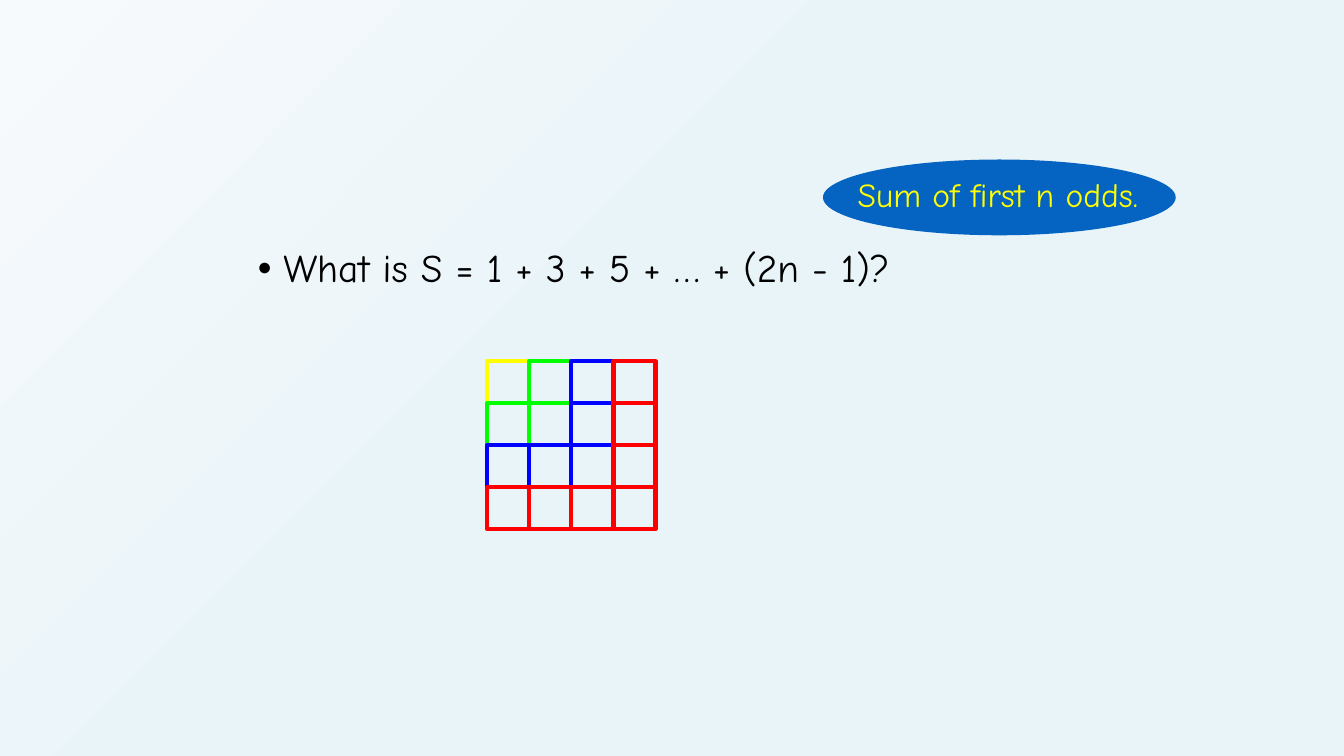
from lxml import etree
from pptx import Presentation
from pptx import util as u
from pptx.dml.color import RGBColor
from pptx.enum import shapes, text
from pptx.oxml.ns import qn

FONT = "Comic Neue"
BLACK = RGBColor(0x00, 0x00, 0x00)
YELLOW = RGBColor(0xFF, 0xFF, 0x00)
GREEN = RGBColor(0x00, 0xFF, 0x00)
BLUE = RGBColor(0x00, 0x00, 0xFF)
RED = RGBColor(0xFF, 0x00, 0x00)
OVAL_BLUE = RGBColor(0x05, 0x63, 0xC1)
SKY_LIGHT = RGBColor(0xF7, 0xFA, 0xFD)
SKY = RGBColor(0xE9, 0xF4, 0xF9)

LAYER_COLORS = [YELLOW, GREEN, BLUE, RED]
GRID_LEFT, GRID_TOP, CELL = 12.28, 9.1, 1.06


class SlideBuilder:
    def __init__(self, slide, font=FONT):
        self.slide = slide
        self.font = font

    def background(self, start, end, end_position):
        fill = self.slide.background.fill
        fill.gradient()
        fill.gradient_angle = 315
        first, last = fill.gradient_stops
        first.color.rgb, first.position = start, 0
        last.color.rgb, last.position = end, end_position

    def group(self):
        return self.slide.shapes.add_group_shape()

    def shape(self, parent, kind, left, top, width, height, fill=None, line=None):
        shape = parent.shapes.add_shape(
            kind, u.Cm(left), u.Cm(top), u.Cm(width), u.Cm(height))
        shape.shadow.inherit = False
        if fill is None:
            shape.fill.background()
        else:
            shape.fill.solid()
            shape.fill.fore_color.rgb = fill
        if line is None:
            shape.line.fill.background()
        else:
            shape.line.color.rgb = line
            shape.line.width = u.Pt(3)
        return shape

    def text(self, parent, content, left, top, width, height, *, size, color,
             align=text.PP_ALIGN.LEFT, spacing=1.0, bullet=None):
        box = parent.shapes.add_textbox(
            u.Cm(left), u.Cm(top), u.Cm(width), u.Cm(height))
        box.text_frame.word_wrap = True
        paragraph = box.text_frame.paragraphs[0]
        paragraph.alignment = align
        paragraph.line_spacing = spacing
        if bullet:
            properties = paragraph._p.get_or_add_pPr()
            indent = u.Cm(0.64)
            properties.set("marL", str(indent))
            properties.set("indent", str(-indent))
            etree.SubElement(properties, qn("a:buFont")).set("typeface", "Arial")
            etree.SubElement(properties, qn("a:buChar")).set("char", bullet)
        run = paragraph.add_run()
        run.text = content
        run.font.name = self.font
        run.font.size = u.Pt(size)
        run.font.color.rgb = color
        return box

    def layer(self, index, color):
        """Draw the L-shaped layer of 2 * index + 1 cells around the smaller square."""
        group = self.group()
        for row in range(index + 1):
            for column in range(index + 1):
                if max(row, column) == index:
                    self.shape(group, shapes.MSO_SHAPE.RECTANGLE,
                               GRID_LEFT + column * CELL, GRID_TOP + row * CELL,
                               CELL, CELL, line=color)


def main():
    presentation = Presentation()
    presentation.slide_width = u.Cm(33.87)
    presentation.slide_height = u.Cm(19.05)
    slide = presentation.slides.add_slide(presentation.slide_layouts[6])
    builder = SlideBuilder(slide)

    builder.background(SKY_LIGHT, SKY, 0.45)
    builder.text(slide, "What is S = 1 + 3 + 5 + … + (2n - 1)?",
                 6.25, 6.15, 21.16, 11.43,
                 size=28, color=BLACK, spacing=0.9, bullet="•")

    title = builder.group()
    builder.shape(title, shapes.MSO_SHAPE.OVAL, 20.74, 4.02, 8.89, 1.91, fill=OVAL_BLUE)
    builder.text(title, "Sum of first n odds.", 20.74, 4.27, 8.81, 1.27,
                 size=24, color=YELLOW, align=text.PP_ALIGN.CENTER)

    for index, color in enumerate(LAYER_COLORS):
        builder.layer(index, color)

    presentation.save("out.pptx")


if __name__ == "__main__":
    main()
